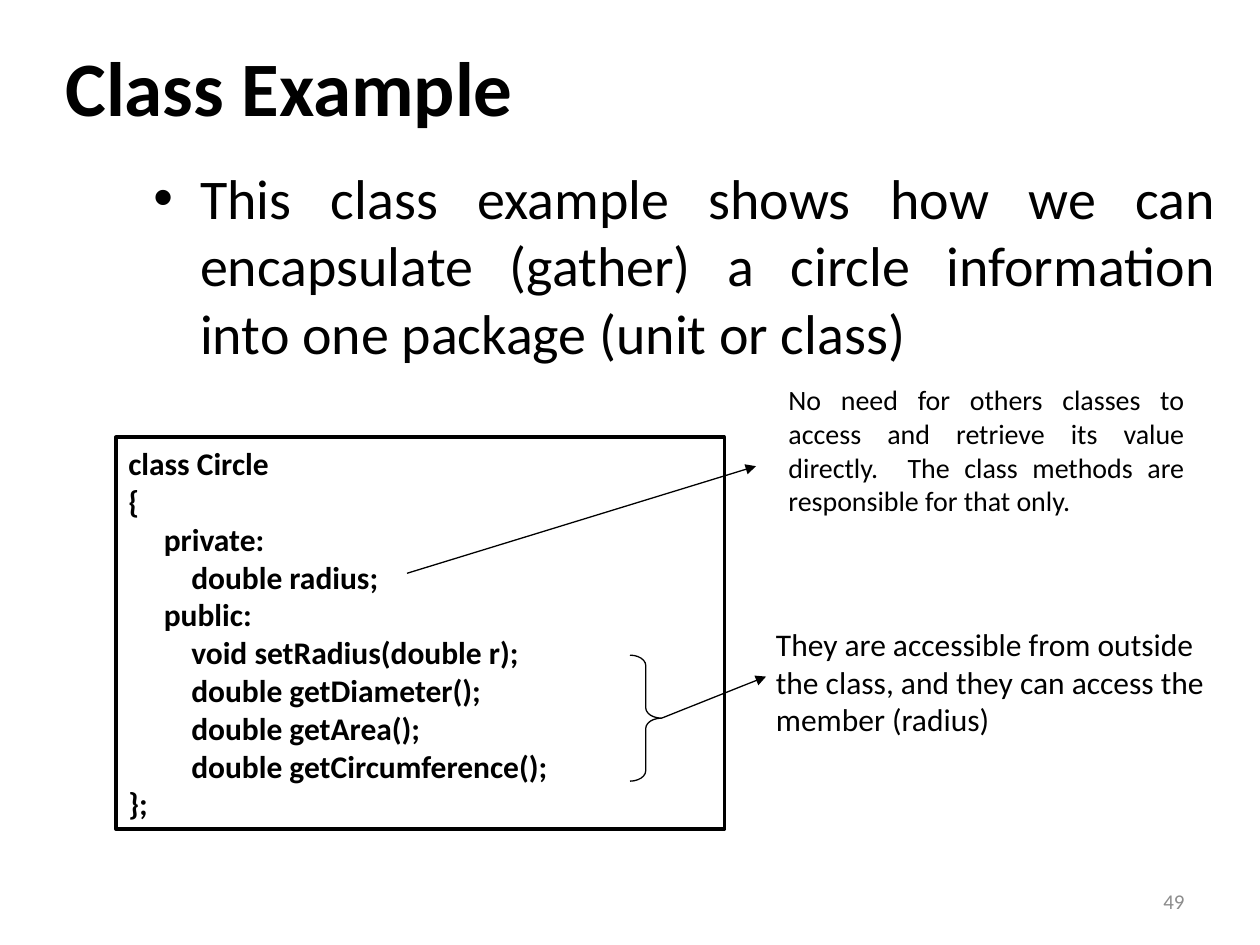
from dataclasses import dataclass, field
from typing import Any

from lxml.etree import SubElement
from pptx import Presentation
from pptx.dml.color import RGBColor
from pptx.enum.shapes import MSO_CONNECTOR, MSO_SHAPE
from pptx.enum.text import MSO_ANCHOR, MSO_AUTO_SIZE, PP_ALIGN
from pptx.oxml.ns import qn
from pptx.util import Inches, Pt

INK = {"black": "000000", "white": "FFFFFF", "gray": "8C8C8C"}
FACE = "Calibri"
GROW = {"auto_size": MSO_AUTO_SIZE.SHAPE_TO_FIT_TEXT}
MID = {"vertical_anchor": MSO_ANCHOR.MIDDLE}
CODE = """class Circle
{
     private:
\tdouble radius;
     public:
\tvoid setRadius(double r);
\tdouble getDiameter();
\tdouble getArea();
\tdouble getCircumference();
};"""


@dataclass
class Note:
    box: tuple[float, float, float, float]
    text: str
    size: int
    bold: bool = False
    ink: str = "black"
    align: Any = PP_ALIGN.LEFT
    frame: dict[str, Any] = field(default_factory=dict)
    bullet: bool = False


@dataclass
class Arrow:
    start: tuple[float, float]
    end: tuple[float, float]


TITLE = Note((0.42, 0.33, 8, 0.7), "Class Example", 44, bold=True, frame=MID)
BODY = Note(
    (1.12, 1.25, 8.63, 5.67),
    "This class example shows how we can encapsulate (gather) a circle "
    "information into one package (unit or class)",
    32, align=PP_ALIGN.JUSTIFY, bullet=True,
)
HIDDEN = Note(
    (6.16, 2.99, 3.34, 1.18),
    "No need for others classes to access and retrieve its value directly.  "
    "The class methods are responsible for that only.",
    16, align=PP_ALIGN.JUSTIFY, frame=GROW,
)
LIST = Note((0.92, 3.47, 4.83, 3.11), CODE, 18, bold=True, frame=GROW | MID)
OPEN = Note(
    (6.06, 4.91, 3.69, 1.01),
    "They are accessible from outside\n"
    "the class, and they can access the\n"
    "member (radius)",
    18, frame=GROW | {"word_wrap": False},
)
PAGE = Note((7.17, 6.95, 2.33, 0.4), "49", 12, ink="gray",
            align=PP_ALIGN.RIGHT, frame=MID)
ARROWS = [Arrow((3.23, 4.55), (6, 3.7)), Arrow((5.25, 5.7), (6.08, 5.37))]


def apply(obj: Any, values: dict[str, Any]) -> None:
    for name, value in values.items():
        setattr(obj, name, value)


def color(name: str) -> RGBColor:
    return RGBColor.from_string(INK[name])


def stroke(shape: Any, width: float) -> None:
    shape.line.color.rgb = color("black")
    shape.line.width = Pt(width)


def write(shape: Any, note: Note) -> None:
    frame = shape.text_frame
    apply(frame, {"word_wrap": True} | note.frame)
    for index, text in enumerate(note.text.split("\n")):
        para = frame.add_paragraph() if index else frame.paragraphs[0]
        para.alignment = note.align
        if note.bullet:
            props = para._p.get_or_add_pPr()
            props.set("marL", str(Inches(0.37)))
            props.set("indent", str(Inches(-0.37)))
            SubElement(props, qn("a:buFont")).set("typeface", "Arial")
            SubElement(props, qn("a:buChar")).set("char", "•")
        run = para.add_run()
        run.text = text
        apply(run.font, {"name": FACE, "size": Pt(note.size), "bold": note.bold})
        run.font.color.rgb = color(note.ink)


def label(slide: Any, note: Note) -> None:
    write(slide.shapes.add_textbox(*map(Inches, note.box)), note)


def panel(slide: Any, note: Note) -> None:
    rect = slide.shapes.add_shape(MSO_SHAPE.RECTANGLE, *map(Inches, note.box))
    rect.shadow.inherit = False
    rect.fill.solid()
    rect.fill.fore_color.rgb = color("white")
    stroke(rect, 2)
    write(rect, note)


def brace(slide: Any) -> None:
    mark = slide.shapes.add_shape(
        MSO_SHAPE.RIGHT_BRACE, Inches(5), Inches(5.2), Inches(0.25), Inches(1)
    )
    mark.shadow.inherit = False
    mark.fill.background()
    mark.adjustments[0] = 0.33
    stroke(mark, 0.75)


def point(slide: Any, arrow: Arrow) -> None:
    line = slide.shapes.add_connector(
        MSO_CONNECTOR.STRAIGHT, *map(Inches, arrow.start + arrow.end)
    )
    stroke(line, 0.75)
    SubElement(line.line._get_or_add_ln(), qn("a:tailEnd")).set("type", "triangle")
    SubElement(line._element.spPr, qn("a:effectLst"))


def main() -> None:
    deck = Presentation()
    apply(deck, {"slide_width": Inches(10), "slide_height": Inches(7.5)})
    slide = deck.slides.add_slide(deck.slide_layouts[6])
    for note in (TITLE, BODY, HIDDEN):
        label(slide, note)
    panel(slide, LIST)
    brace(slide)
    for arrow in ARROWS:
        point(slide, arrow)
    for note in (OPEN, PAGE):
        label(slide, note)
    deck.save("out.pptx")


if __name__ == "__main__":
    main()
